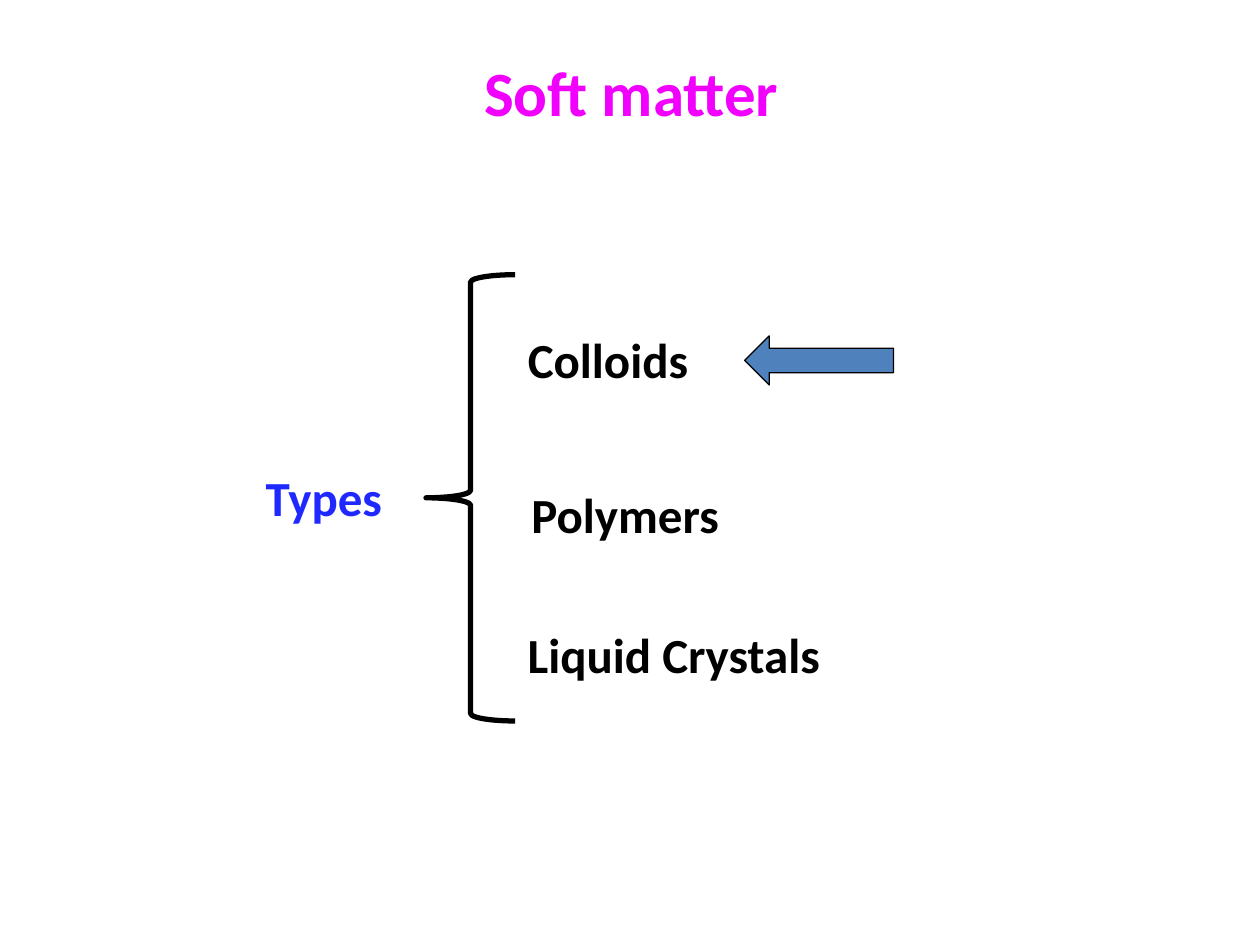
"""Build the slide listing the types of soft matter."""
from pptx import Presentation
from pptx.dml.color import RGBColor
from pptx.enum.shapes import MSO_SHAPE
from pptx.enum.text import MSO_ANCHOR, MSO_AUTO_SIZE, PP_ALIGN
from pptx.util import Pt

MAGENTA = RGBColor(0xF1, 0x00, 0xFE)
INDIGO = RGBColor(0x1F, 0x29, 0xFF)
BLACK = RGBColor(0x00, 0x00, 0x00)
STEEL_BLUE = RGBColor(0x4F, 0x81, 0xBD)

LABEL_HEIGHT = 41
TITLE = ("Soft matter", (54.7, 7.2, 612, 90))
LABELS = [
    ("Types", 144.7, 263.5, 85, INDIGO),
    ("Colloids", 294.5, 185, 113.8, BLACK),
    ("Polymers", 296.6, 273.6, 127.4, BLACK),
    ("Liquid Crystals", 294.5, 353.5, 203.8, BLACK),
]
SYMBOLS = [
    (MSO_SHAPE.LEFT_BRACE, (243.4, 157, 51, 255), None, 3),
    (MSO_SHAPE.LEFT_ARROW, (425.5, 192, 85, 28), STEEL_BLUE, 0.75),
]
TITLE_FORMAT = {"word_wrap": True, "vertical_anchor": MSO_ANCHOR.MIDDLE}
LABEL_FORMAT = {"word_wrap": False, "auto_size": MSO_AUTO_SIZE.SHAPE_TO_FIT_TEXT}


def apply_format(target, values):
    for name, value in values.items():
        setattr(target, name, value)


def add_text(slide, text, box, size, color, frame_format, align=PP_ALIGN.LEFT):
    frame = slide.shapes.add_textbox(*map(Pt, box)).text_frame
    apply_format(frame, frame_format)
    paragraph = frame.paragraphs[0]
    paragraph.alignment = align
    run = paragraph.add_run()
    run.text = text
    apply_format(run.font, {"name": "Calibri", "size": Pt(size), "bold": True})
    run.font.color.rgb = color


def add_symbol(slide, preset, box, fill, line_width):
    symbol = slide.shapes.add_shape(preset, *map(Pt, box))
    symbol.shadow.inherit = False
    if fill is None:
        symbol.fill.background()
    else:
        symbol.fill.solid()
        symbol.fill.fore_color.rgb = fill
    symbol.line.color.rgb = BLACK
    symbol.line.width = Pt(line_width)


def main():
    presentation = Presentation()
    apply_format(presentation, {"slide_width": Pt(720), "slide_height": Pt(540)})
    slide = presentation.slides.add_slide(presentation.slide_layouts[6])
    heading, heading_box = TITLE
    add_text(slide, heading, heading_box, 36, MAGENTA, TITLE_FORMAT, PP_ALIGN.CENTER)
    for label, left, top, width, color in LABELS:
        add_text(slide, label, (left, top, width, LABEL_HEIGHT), 28, color, LABEL_FORMAT)
    for symbol in SYMBOLS:
        add_symbol(slide, *symbol)
    presentation.save("out.pptx")


if __name__ == "__main__":
    main()
